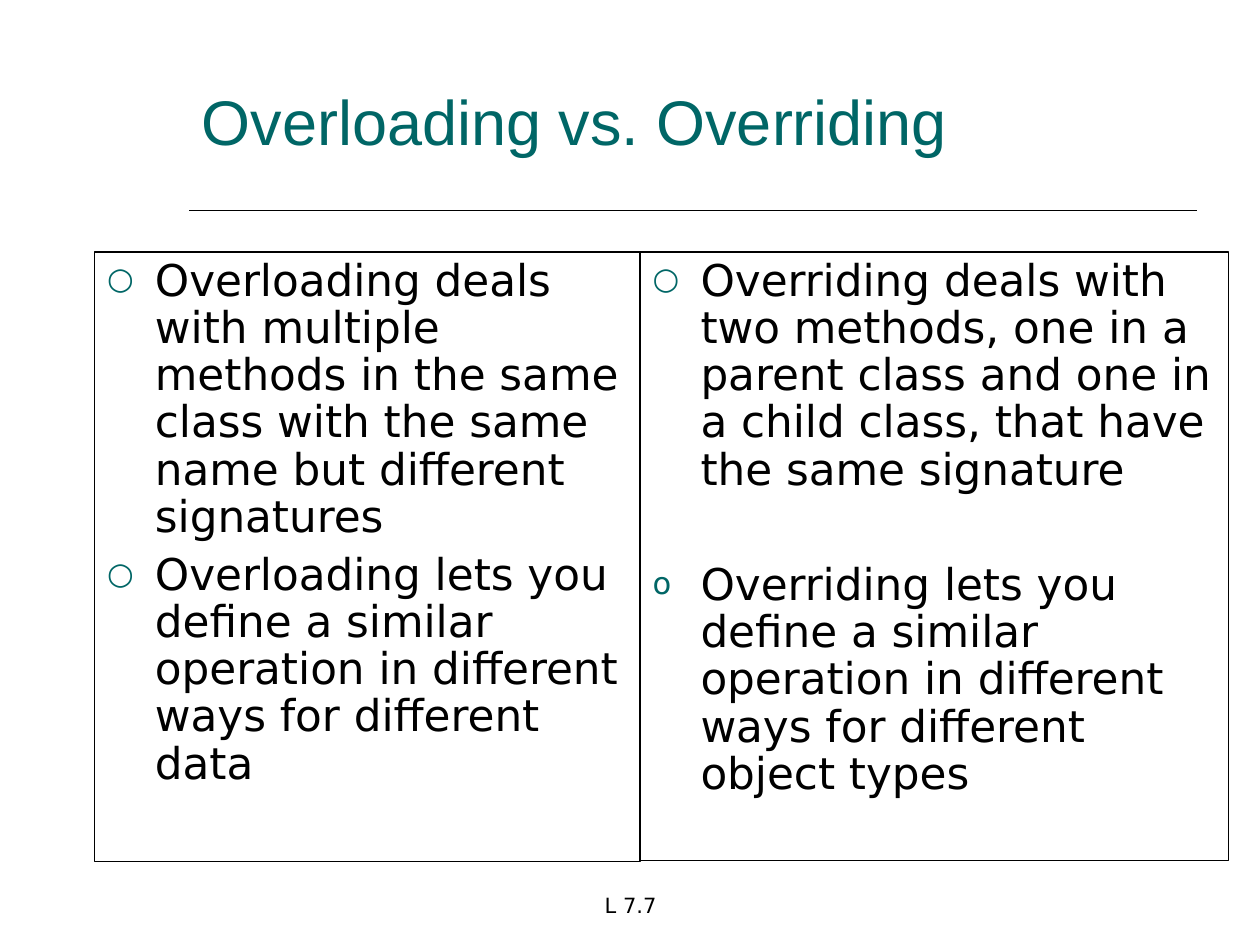
from lxml import etree
from pptx import Presentation
from pptx.dml.color import RGBColor
from pptx.enum.shapes import MSO_CONNECTOR
from pptx.enum.text import MSO_ANCHOR, MSO_AUTO_SIZE, PP_ALIGN
from pptx.oxml.ns import qn
from pptx.util import Inches, Pt

STRAIGHT = MSO_CONNECTOR.STRAIGHT
TOP, MIDDLE, BOTTOM = MSO_ANCHOR.TOP, MSO_ANCHOR.MIDDLE, MSO_ANCHOR.BOTTOM
LEFT, CENTER = PP_ALIGN.LEFT, PP_ALIGN.CENTER
NO_FIT = MSO_AUTO_SIZE.NONE

WIDTH, HEIGHT = Inches(10), Inches(7.5)
TEAL, BLACK = "006666", "000000"
BODY_FONT = "DejaVu Sans"
INDENT = Inches(0.38)

OVERLOADING = [
    ("○", 6.2, "Overloading deals with multiple methods in the same class "
               "with the same name but different signatures"),
    ("○", 6.2, "Overloading lets you define a similar operation in different "
               "ways for different data"),
]
OVERRIDING = [
    ("○", 6.2, "Overriding deals with two methods, one in a parent class and "
               "one in a child class, that have the same signature"),
    ("o", 39, "Overriding lets you define a similar operation in different "
              "ways for different object types"),
]


def color(value):
    """Return the colour for a hex string."""
    return RGBColor.from_string(value)


def place(shape, box):
    """Move a shape to a box of left, top, width and height."""
    shape.left, shape.top, shape.width, shape.height = box


def prepare_frame(shape, anchor):
    """Set wrapping and anchoring, and return the text frame."""
    frame = shape.text_frame
    frame.word_wrap = True
    frame.auto_size = NO_FIT
    frame.vertical_anchor = anchor
    return frame


def style(paragraph, size, font_name, font_color, align):
    """Format a whole paragraph."""
    paragraph.alignment = align
    paragraph.font.size = Pt(size)
    paragraph.font.name = font_name
    paragraph.font.color.rgb = color(font_color)


def add_bullet(paragraph, symbol):
    """Give a paragraph a hanging teal bullet."""
    properties = paragraph._p.get_or_add_pPr()
    properties.set("marL", str(INDENT))
    properties.set("indent", str(-INDENT))
    bullet_color = etree.SubElement(properties, qn("a:buClr"))
    etree.SubElement(bullet_color, qn("a:srgbClr"), val=TEAL)
    etree.SubElement(properties, qn("a:buSzPct"), val="70000")
    etree.SubElement(properties, qn("a:buFont"), typeface=BODY_FONT)
    etree.SubElement(properties, qn("a:buChar"), char=symbol)


def fill_heading(slide, box):
    """Set the title in its box, with a rule a little below it."""
    left, top, width, height = box
    title = slide.shapes.title
    place(title, box)
    frame = prepare_frame(title, MIDDLE)
    frame.text = "Overloading vs. Overriding"
    style(frame.paragraphs[0], 36, "Arial", TEAL, LEFT)
    rule_y = top + height + Inches(0.09)
    rule = slide.shapes.add_connector(STRAIGHT, left, rule_y, left + width, rule_y)
    rule.line.color.rgb = color(BLACK)
    rule.line.width = Pt(1)
    etree.SubElement(rule._element.spPr, qn("a:effectLst"))


def fill_column(column, box, points):
    """Fill one outlined column with its bulleted points."""
    place(column, box)
    column.line.color.rgb = color(BLACK)
    column.line.width = Pt(0.75)
    frame = prepare_frame(column, TOP)
    frame.text = "\n".join(text for _, _, text in points)
    for paragraph, (symbol, gap, _) in zip(frame.paragraphs, points):
        style(paragraph, 25, BODY_FONT, BLACK, LEFT)
        paragraph.line_spacing = 0.9
        paragraph.space_before = Pt(gap)
        add_bullet(paragraph, symbol)


def add_page_label(slide, box):
    """Add the centred page label."""
    frame = prepare_frame(slide.shapes.add_textbox(*box), BOTTOM)
    frame.text = "L 7.7"
    style(frame.paragraphs[0], 12, BODY_FONT, BLACK, CENTER)


def main():
    """Build the comparison slide."""
    deck = Presentation()
    deck.slide_width, deck.slide_height = WIDTH, HEIGHT
    slide = deck.slides.add_slide(deck.slide_layouts[3])
    fill_heading(slide, (Inches(1.5), Inches(0.33), Inches(8), Inches(1.25)))

    column_left, column_top = Inches(0.75), Inches(2)
    columns = [
        (1, Inches(4.33), Inches(4.84), OVERLOADING),
        (2, Inches(4.67), Inches(4.83), OVERRIDING),
    ]
    for index, width, height, points in columns:
        box = (column_left, column_top, width, height)
        fill_column(slide.placeholders[index], box, points)
        column_left += width

    add_page_label(slide, (Inches(3.42), Inches(6.83), Inches(3.17), Inches(0.5)))
    deck.save("out.pptx")


if __name__ == "__main__":
    main()
